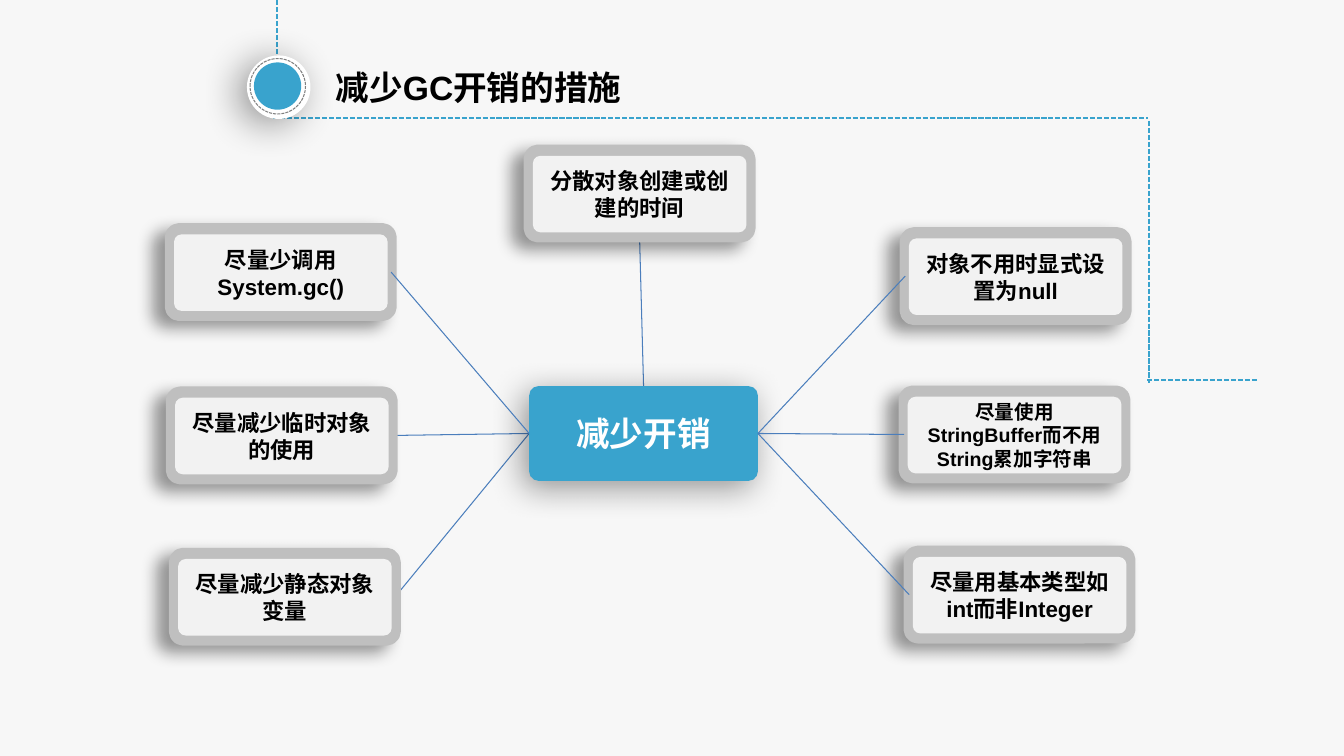
from lxml.etree import SubElement
from pptx import Presentation
from pptx.dml.color import RGBColor
from pptx.enum.dml import MSO_LINE_DASH_STYLE as DASH
from pptx.enum.shapes import MSO_CONNECTOR as CONN, MSO_SHAPE as SHAPE
from pptx.enum.text import MSO_ANCHOR as ANCHOR, PP_ALIGN as ALIGN
from pptx.oxml.ns import qn
from pptx.util import Pt

COLORS = {
    "background": "F7F7F7", "accent": "39A3CD", "frame": "BFBFBF",
    "panel": "F2F2F2", "spoke": "4B7EBC", "ring": "808080",
    "white": "FFFFFF", "black": "000000",
}
TOP, LEFT, BOTTOM, RIGHT = range(4)
HUB = (378, 275.8, 163.4, 67.7)
FRAME_SIZE = (157.7, 61.9)
PANEL_SIZE = (152.6, 54.7)
PANEL_OFFSET = (2.6, 4)
CARDS = [
    (378, 107.3, "分散对象创建或创建的时间", 16, TOP, BOTTOM, True),
    (121.7, 163.4, "尽量少调用System.gc()", 16, LEFT, RIGHT, False),
    (124.6, 395.3, "尽量减少静态对象变量", 16, LEFT, RIGHT, True),
    (649.4, 393.8, "尽量用基本类型如int而非Integer", 16, RIGHT, LEFT, False),
    (645.8, 279.4, "尽量使用 StringBuffer而不用String累加字符串", 14, RIGHT, LEFT, False),
    (122.4, 280.1, "尽量减少临时对象的使用", 16, LEFT, RIGHT, True),
    (646.6, 166.3, "对象不用时显式设置为null", 16, RIGHT, LEFT, False),
]
DASHES = [
    (195, 84.2, 820, 84.2),
    (198, 0, 198, 60),
    (820.8, 86.4, 820.8, 273.6),
    (819.4, 271.4, 898.6, 271.4),
]


def rgb(name):
    return RGBColor.from_string(COLORS[name])


def set_text(sp, text, size, color, align):
    tf = sp.text_frame
    for key, value in {"word_wrap": True, "vertical_anchor": ANCHOR.MIDDLE}.items():
        setattr(tf, key, value)
    p = tf.paragraphs[0]
    p.alignment = align
    r = p.add_run()
    r.text = text
    for key, value in {"name": "Arial", "size": Pt(size), "bold": True}.items():
        setattr(r.font, key, value)
    r.font.color.rgb = rgb(color)


def add_shadow(sp, blur, distance, angle):
    effects = sp._element.spPr.find(qn("a:effectLst"))
    shadow = SubElement(effects, qn("a:outerShdw"), {
        "blurRad": str(Pt(blur)), "dist": str(Pt(distance)),
        "dir": str(angle * 60000), "algn": "ctr", "rotWithShape": "0",
    })
    color = SubElement(shadow, qn("a:srgbClr"), val=COLORS["black"])
    SubElement(color, qn("a:alpha"), val="40000")


def add_shape(s, kind, box, fill=None, line=None, width=0.75):
    sp = s.shapes.add_shape(kind, *map(Pt, box))
    sp.shadow.inherit = False
    if kind == SHAPE.ROUNDED_RECTANGLE:
        sp.adjustments[0] = 0.1
    if fill:
        sp.fill.solid()
        sp.fill.fore_color.rgb = rgb(fill)
    else:
        sp.fill.background()
    if line:
        sp.line.color.rgb = rgb(line)
        sp.line.width = Pt(width)
    else:
        sp.line.fill.background()
    return sp


def add_line(s, points, color, width, dash=None):
    line = s.shapes.add_connector(CONN.STRAIGHT, *map(Pt, points))
    line.line.color.rgb = rgb(color)
    line.line.width = Pt(width)
    if dash:
        line.line.dash_style = dash
    SubElement(line._element.spPr, qn("a:effectLst"))
    return line


def add_title(s, text):
    sp = s.shapes.title
    box = {"left": 232.6, "top": 36.7, "width": 388, "height": 50.4}
    for key, value in box.items():
        setattr(sp, key, Pt(value))
    set_text(sp, text, 24, "black", ALIGN.LEFT)


def add_badge(s):
    disc = add_shape(s, SHAPE.OVAL, (176.4, 39.6, 45.4, 45.4), "white")
    add_shadow(disc, 28, 8, 150)
    add_shape(s, SHAPE.OVAL, (181.4, 44.6, 33.8, 33.8), "accent")
    ring = add_shape(s, SHAPE.OVAL, (178.6, 41.8, 39.6, 39.6), line="ring")
    ring.line.dash_style = DASH.SQUARE_DOT


def add_hub(s, text):
    hub = add_shape(s, SHAPE.ROUNDED_RECTANGLE, HUB, "accent")
    add_shadow(hub, 24, 7, 130)
    set_text(hub, text, 24, "white", ALIGN.CENTER)
    return hub


def add_card(s, x, y, text, size):
    frame = add_shape(s, SHAPE.ROUNDED_RECTANGLE, (x, y, *FRAME_SIZE), "frame", "frame", 8)
    add_shadow(frame, 12, 10, 150)
    dx, dy = PANEL_OFFSET
    panel = add_shape(s, SHAPE.ROUNDED_RECTANGLE, (x + dx, y + dy, *PANEL_SIZE), "panel")
    set_text(panel, text, size, "black", ALIGN.CENTER)
    return frame


def add_spoke(s, hub, hub_side, frame, frame_side, behind):
    line = add_line(s, (0, 0, 0, 0), "spoke", 0.75)
    line.begin_connect(hub, hub_side)
    line.end_connect(frame, frame_side)
    if behind:
        hub._element.addprevious(line._element)


def main():
    prs = Presentation()
    prs.slide_width, prs.slide_height = Pt(960), Pt(540)
    s = prs.slides.add_slide(prs.slide_layouts[5])
    s.background.fill.solid()
    s.background.fill.fore_color.rgb = rgb("background")
    for points in DASHES:
        add_line(s, points, "accent", 1.25, DASH.SQUARE_DOT)
    add_badge(s)
    add_title(s, "减少GC开销的措施")
    hub = add_hub(s, "减少开销")
    frames = [add_card(s, *card[:4]) for card in CARDS]
    for frame, (*_, hub_side, frame_side, behind) in zip(frames, CARDS):
        add_spoke(s, hub, hub_side, frame, frame_side, behind)
    prs.save("out.pptx")


if __name__ == "__main__":
    main()
